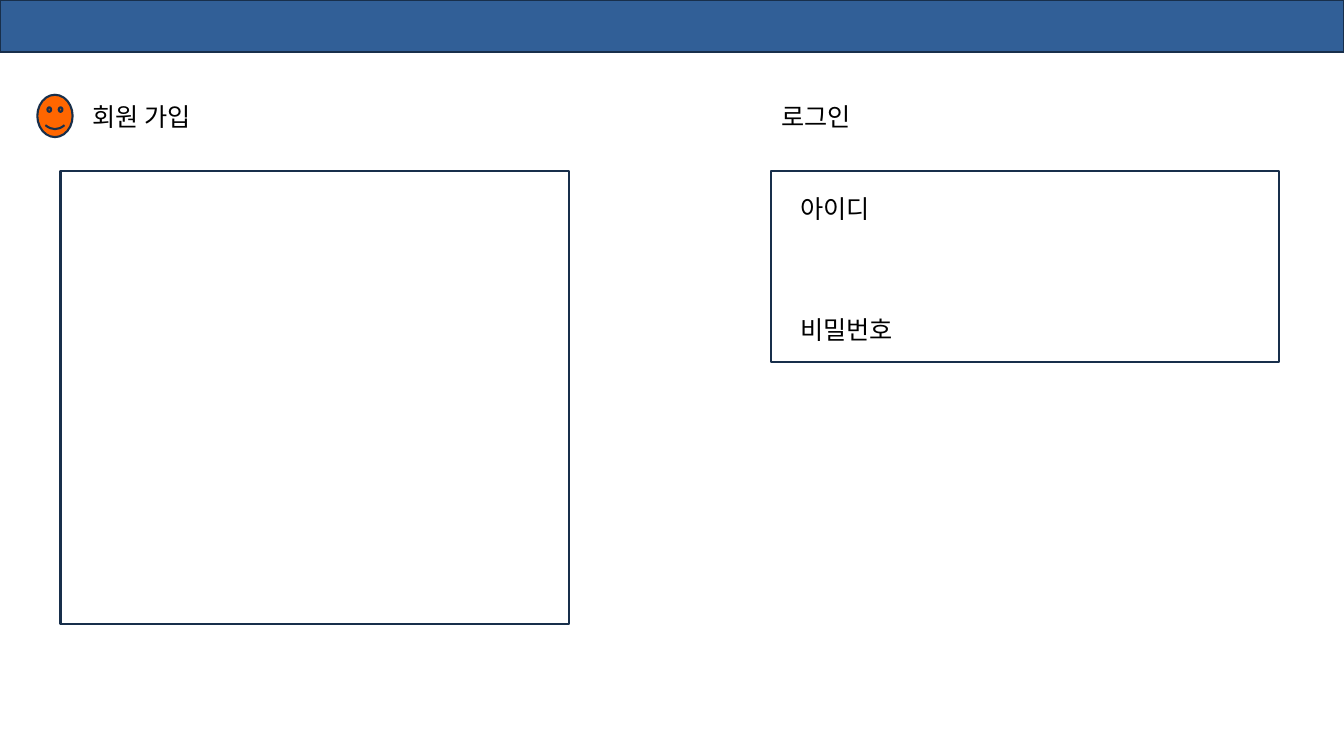
"""Build the sign-up and log-in form slide."""
from dataclasses import dataclass
from typing import Optional

from lxml import etree
from pptx import Presentation
from pptx.dml.color import RGBColor
from pptx.enum import shapes, text
from pptx.oxml import ns
from pptx.slide import Slide
from pptx.util import Inches, Pt

NAVY = RGBColor(0x18, 0x2F, 0x4B)
BLUE = RGBColor(0x31, 0x5F, 0x97)
ORANGE = RGBColor(0xFF, 0x66, 0x00)
BLACK = RGBColor(0, 0, 0)
FONT = "Noto Sans CJK KR"
PAGE_WIDTH, PAGE_HEIGHT = 13.33, 7.5
FRAME_TOP, FRAME_WIDTH = 1.7, 5.04
SIGNUP_LEFT, LOGIN_LEFT = 0.6, 7.65
HEADING_TOP, HEADING_WIDTH, HEADING_HEIGHT = 0.95, 4.09, 0.4
FIELD_GAP = Pt(64.4)


@dataclass(frozen=True)
class Area:
    left: float
    top: float
    width: float
    height: float

    def lengths(self) -> tuple[Inches, ...]:
        return tuple(Inches(n) for n in (self.left, self.top, self.width, self.height))


@dataclass(frozen=True)
class Panel:
    area: Area
    fill: Optional[RGBColor] = None
    kind: shapes.MSO_SHAPE = shapes.MSO_SHAPE.RECTANGLE


@dataclass(frozen=True)
class Label:
    area: Area
    lines: tuple[str, ...]


PANELS = (
    Panel(Area(0, 0, PAGE_WIDTH, 0.52), BLUE),
    Panel(Area(SIGNUP_LEFT, FRAME_TOP, FRAME_WIDTH, 4.49)),
    Panel(Area(0.37, 0.94, 0.35, 0.42), ORANGE, shapes.MSO_SHAPE.SMILEY_FACE),
    Panel(Area(LOGIN_LEFT, FRAME_TOP, FRAME_WIDTH, 1.89)),
)
LABELS = (
    Label(Area(0.76, HEADING_TOP, HEADING_WIDTH, HEADING_HEIGHT), (" 회원 가입",)),
    Label(Area(7.84, 1.86, 4.85, 1.6), ("아이디", "비밀번호")),
    Label(Area(LOGIN_LEFT, HEADING_TOP, HEADING_WIDTH, HEADING_HEIGHT), ("로그인",)),
)


def apply(target: object, values: dict[str, object]) -> None:
    """Set each named attribute on the target."""
    for name, value in values.items():
        setattr(target, name, value)


def draw_panel(page: Slide, panel: Panel) -> None:
    """Draw one outlined shape, filled when it has a colour."""
    shape = page.shapes.add_shape(panel.kind, *panel.area.lengths())
    shape.shadow.inherit = False
    shape.line.color.rgb = NAVY
    shape.line.width = Pt(1.5)
    if panel.fill is None:
        shape.fill.background()
    else:
        shape.fill.solid()
        shape.fill.fore_color.rgb = panel.fill


def draw_label(page: Slide, label: Label) -> None:
    """Draw a text box with one paragraph for each line."""
    frame = page.shapes.add_textbox(*label.area.lengths()).text_frame
    apply(frame, {"word_wrap": True, "auto_size": text.MSO_AUTO_SIZE.SHAPE_TO_FIT_TEXT})
    for index, line in enumerate(label.lines):
        para = frame.add_paragraph() if index else frame.paragraphs[0]
        apply(para, {"line_spacing": Pt(22), "space_before": FIELD_GAP if index else Pt(0)})
        span = para.add_run()
        span.text = line
        apply(span.font, {"size": Pt(18), "name": FONT})
        span.font.color.rgb = BLACK
        etree.SubElement(span.font._element, ns.qn("a:ea"), typeface=FONT)


def main() -> None:
    """Build and save the deck."""
    deck = Presentation()
    apply(deck, {"slide_width": Inches(PAGE_WIDTH), "slide_height": Inches(PAGE_HEIGHT)})
    page = deck.slides.add_slide(deck.slide_layouts[6])
    for panel in PANELS:
        draw_panel(page, panel)
    for label in LABELS:
        draw_label(page, label)
    deck.save("out.pptx")


main()
